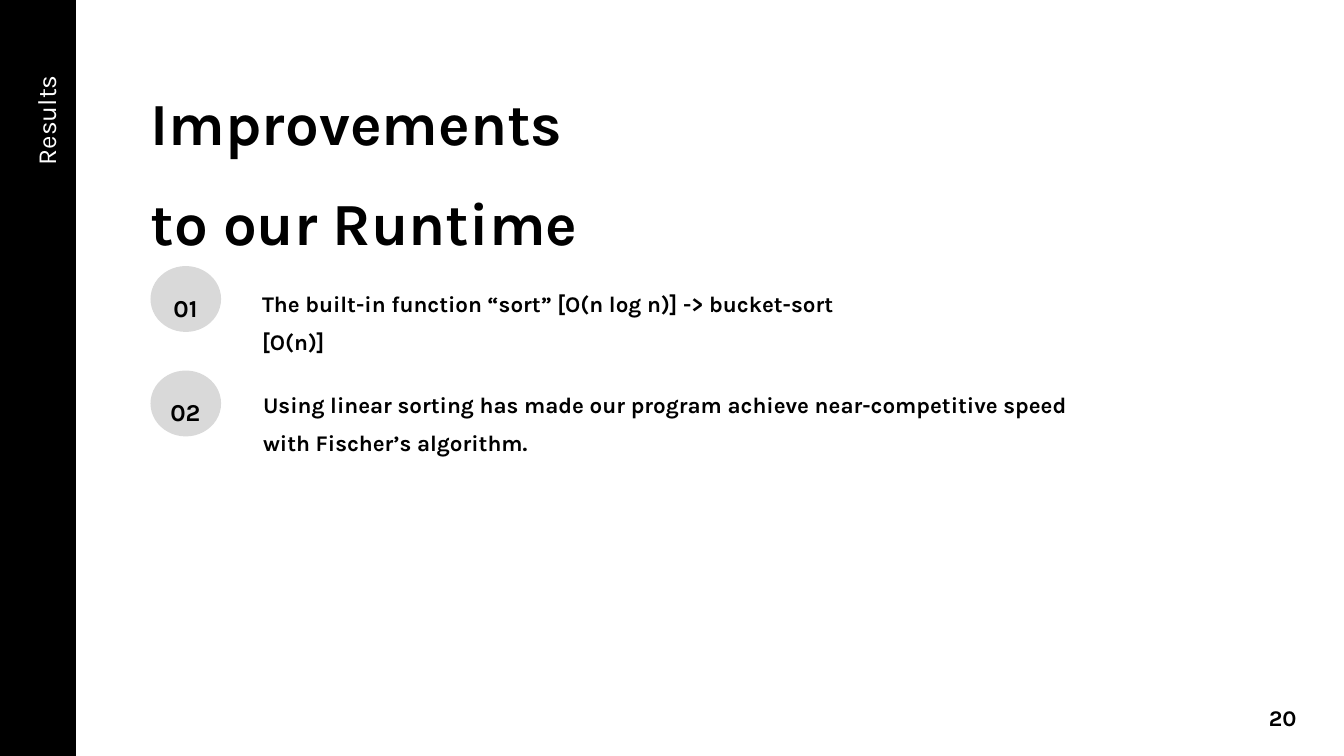
from pptx import Presentation
from pptx import util as u
from pptx.dml.color import RGBColor
from pptx.enum import shapes, text

BLACK = RGBColor(0, 0, 0)
WHITE = RGBColor(255, 255, 255)
GREY = RGBColor(217, 217, 217)

presentation = Presentation()
presentation.slide_width = u.Inches(10)
presentation.slide_height = presentation.slide_width * 9 // 16
slide = presentation.slides.add_slide(presentation.slide_layouts[6])
column = presentation.slide_width / 100
row = presentation.slide_height / 56.25


def place_shape(kind, left, top, width, height, color):
    shape = slide.shapes.add_shape(
        kind, u.Emu(int(left * column)), u.Emu(int(top * row)),
        u.Emu(int(width * column)), u.Emu(int(height * row)))
    shape.shadow.inherit = False
    shape.fill.solid()
    shape.fill.fore_color.rgb = color
    shape.line.fill.background()


def place_text(words, left, top, width, height, size,
               align=text.PP_ALIGN.LEFT, color=BLACK, bold=True, rotation=0):
    box = slide.shapes.add_textbox(
        u.Emu(int(left * column)), u.Emu(int(top * row)),
        u.Emu(int(width * column)), u.Emu(int(height * row)))
    box.rotation = rotation
    frame_format = {"margin_left": 0, "margin_right": 0, "margin_top": 0,
                    "margin_bottom": 0, "word_wrap": True,
                    "auto_size": text.MSO_AUTO_SIZE.SHAPE_TO_FIT_TEXT}
    for name, value in frame_format.items():
        setattr(box.text_frame, name, value)
    paragraph = box.text_frame.paragraphs[0]
    paragraph.alignment = align
    paragraph.line_spacing = 1.4
    run = paragraph.add_run()
    run.text = words
    font_format = {"name": "Karla", "size": u.Pt(size), "bold": bold}
    for name, value in font_format.items():
        setattr(run.font, name, value)
    run.font.color.rgb = color


place_shape(shapes.MSO_SHAPE.RECTANGLE, 0, 0, 5.65, 57.2, BLACK)
place_text("Results", -7.3, 14.2, 19.9, 2.7, 14,
           text.PP_ALIGN.RIGHT, WHITE, False, 270)

points = [
    ("The built-in function “sort” [O(n log n)] -> bucket-sort [O(n)]",
     19.5, 20.82, 45.7, 2.2),
    ("Using linear sorting has made our program achieve near-competitive "
     "speed with Fischer’s algorithm.", 19.57, 28.3, 62.2, 4.4),
]
for index, (words, left, top, width, height) in enumerate(points):
    badge_top = 19.8 + 7.77 * index
    place_shape(shapes.MSO_SHAPE.OVAL, 11.2, badge_top, 5.25, 4.9, GREY)
    place_text(f"{index + 1:02d}", 12.15, badge_top + 1.12, 3.3, 2.4, 13,
               text.PP_ALIGN.CENTER)
    place_text(words, left, top, width, height, 12)

place_text("Improvements to our Runtime", 11.2, 4.25, 33.9, 12, 32)
place_text("20", 92.27, 51.6, 4.2, 2, 12, text.PP_ALIGN.RIGHT)

presentation.save("out.pptx")
